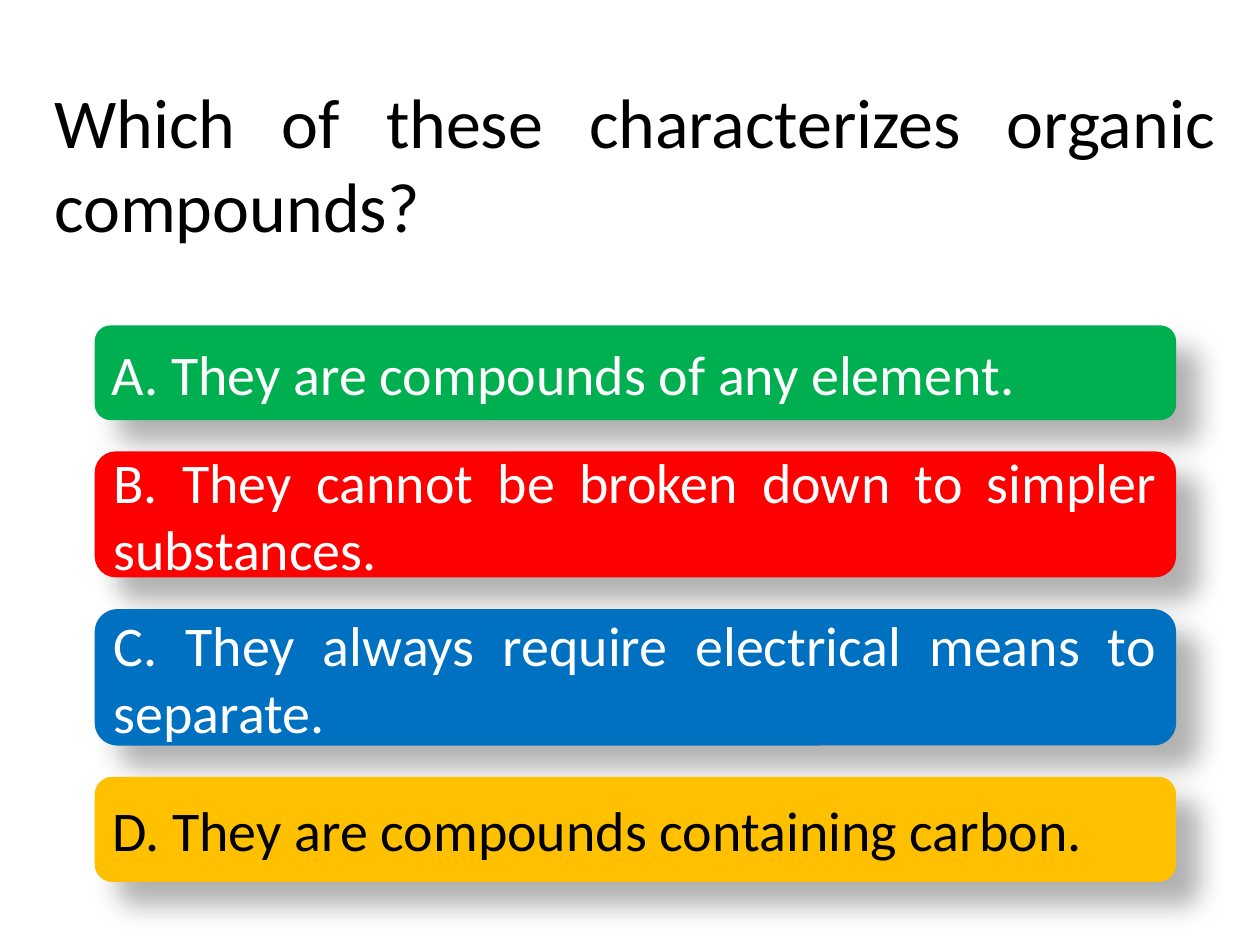
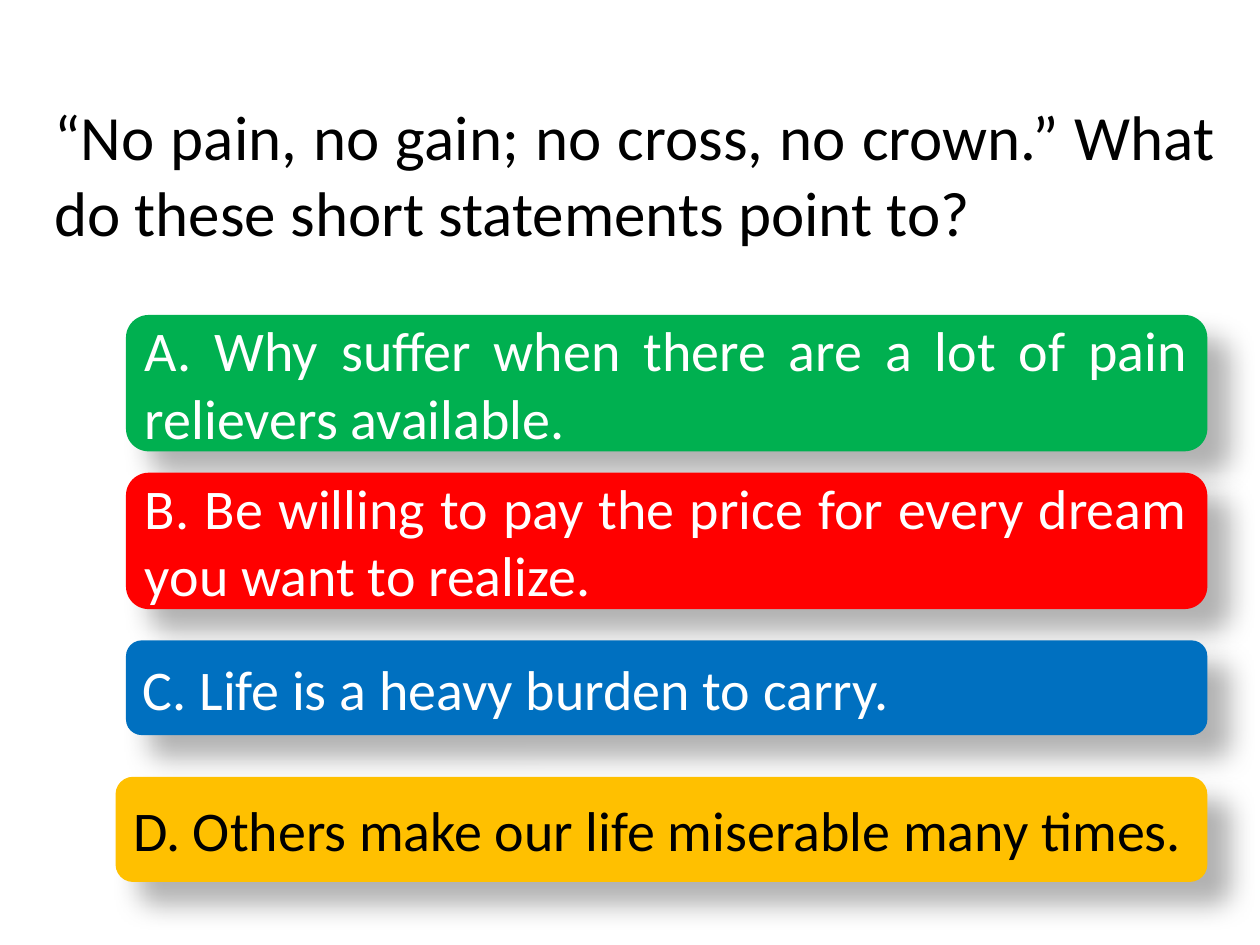
from dataclasses import dataclass

from lxml.etree import SubElement
from pptx import Presentation
from pptx.dml.color import RGBColor as Rgb
from pptx.enum.shapes import MSO_SHAPE as Shape
from pptx.enum.text import MSO_ANCHOR as Anchor, MSO_AUTO_SIZE as AutoSize, PP_ALIGN as Align
from pptx.oxml.ns import qn
from pptx.util import Cm, Pt


@dataclass(frozen=True)
class Theme:
    font: str = "Calibri"
    dark: str = "000000"
    light: str = "FFFFFF"
    answer_fills: tuple = ("00B050", "FF0000", "0070C0", "FFC000")
    answer_size: int = 32
    shadow_opacity: int = 30
    shadow_blur: int = 15
    shadow_distance: int = 18
    shadow_angle: int = 45

    def answer_text(self, letter):
        return self.dark if letter == "D" else self.light


THEME = Theme()
TITLE_LEFT, TITLE_TOP, TITLE_WIDTH = 0.84, 1.06, 23.92

# Each answer: text, left, top, width, height (cm)
QUESTIONS = [
    {
        "title": "Which of these characterizes organic compounds?",
        "size": 40,
        "height": 4.45,
        "answers": [
            ("A. They are compounds of any element.", 1.91, 6.56, 21.8, 1.91),
            ("B. They cannot be broken down to simpler substances.", 1.91, 9.1, 21.8, 2.54),
            ("C. They always require electrical means to separate.", 1.91, 12.28, 21.8, 2.75),
            ("D. They are compounds containing carbon.", 1.91, 15.66, 21.8, 2.12),
        ],
    },
    {
        "title": "“No pain, no gain; no cross, no crown.” What do these short statements point to?",
        "size": 36,
        "height": 4.87,
        "answers": [
            ("A. Why suffer when there are a lot of pain relievers available.", 2.54, 6.35, 21.8, 2.75),
            ("B. Be willing to pay the price for every dream you want to realize.", 2.54, 9.53, 21.8, 2.75),
            ("C. Life is a heavy burden to carry.", 2.54, 12.91, 21.8, 1.91),
            ("D. Others make our life miserable many times.", 2.33, 15.66, 22.01, 2.12),
        ],
    },
]


def set_values(target, values):
    for name, value in values.items():
        setattr(target, name, value)


def write_text(box, text, size, color):
    """Fill a box with one justified, vertically centred paragraph."""
    frame = box.text_frame
    set_values(frame, {
        "word_wrap": True,
        "auto_size": AutoSize.NONE,
        "vertical_anchor": Anchor.MIDDLE,
    })
    para = frame.paragraphs[0]
    para.alignment = Align.JUSTIFY
    span = para.add_run()
    span.text = text
    set_values(span.font, {"name": THEME.font, "size": Pt(size)})
    span.font.color.rgb = Rgb.from_string(color)


def add_drop_shadow(box):
    box.shadow.inherit = False
    effects = box._element.spPr.find(qn("a:effectLst"))
    shadow = SubElement(effects, qn("a:outerShdw"), {
        "blurRad": str(Pt(THEME.shadow_blur)),
        "dist": str(Pt(THEME.shadow_distance)),
        "dir": str(THEME.shadow_angle * 60000),
        "algn": "tl",
        "rotWithShape": "0",
    })
    color = SubElement(shadow, qn("a:srgbClr"), val=THEME.dark)
    SubElement(color, qn("a:alpha"), val=str(THEME.shadow_opacity * 1000))


def set_title(page, text, size, height):
    title = page.shapes.title
    set_values(title, {
        "left": Cm(TITLE_LEFT),
        "top": Cm(TITLE_TOP),
        "width": Cm(TITLE_WIDTH),
        "height": Cm(height),
    })
    write_text(title, text, size, THEME.dark)


def add_answer(page, fill, text, *bounds):
    box = page.shapes.add_shape(Shape.ROUNDED_RECTANGLE, *map(Cm, bounds))
    box.fill.solid()
    box.fill.fore_color.rgb = Rgb.from_string(fill)
    box.line.fill.background()
    add_drop_shadow(box)
    write_text(box, text, THEME.answer_size, THEME.answer_text(text[0]))


def add_question(deck, question):
    page = deck.slides.add_slide(deck.slide_layouts.get_by_name("Title Only"))
    set_title(page, question["title"], question["size"], question["height"])
    for fill, answer in zip(THEME.answer_fills, question["answers"]):
        add_answer(page, fill, *answer)


def main():
    deck = Presentation()
    set_values(deck, {"slide_width": Cm(25.4), "slide_height": Cm(19.05)})
    for question in QUESTIONS:
        add_question(deck, question)
    deck.save("out.pptx")


if __name__ == "__main__":
    main()
